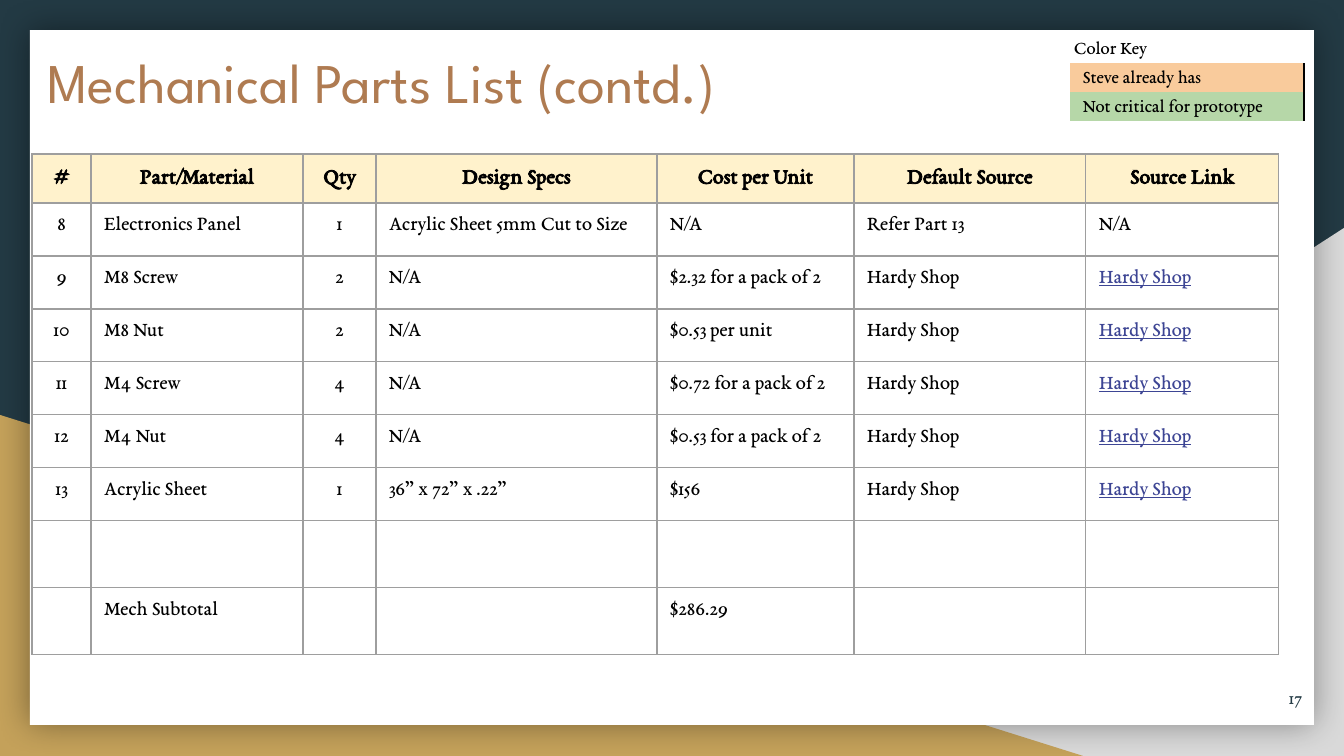
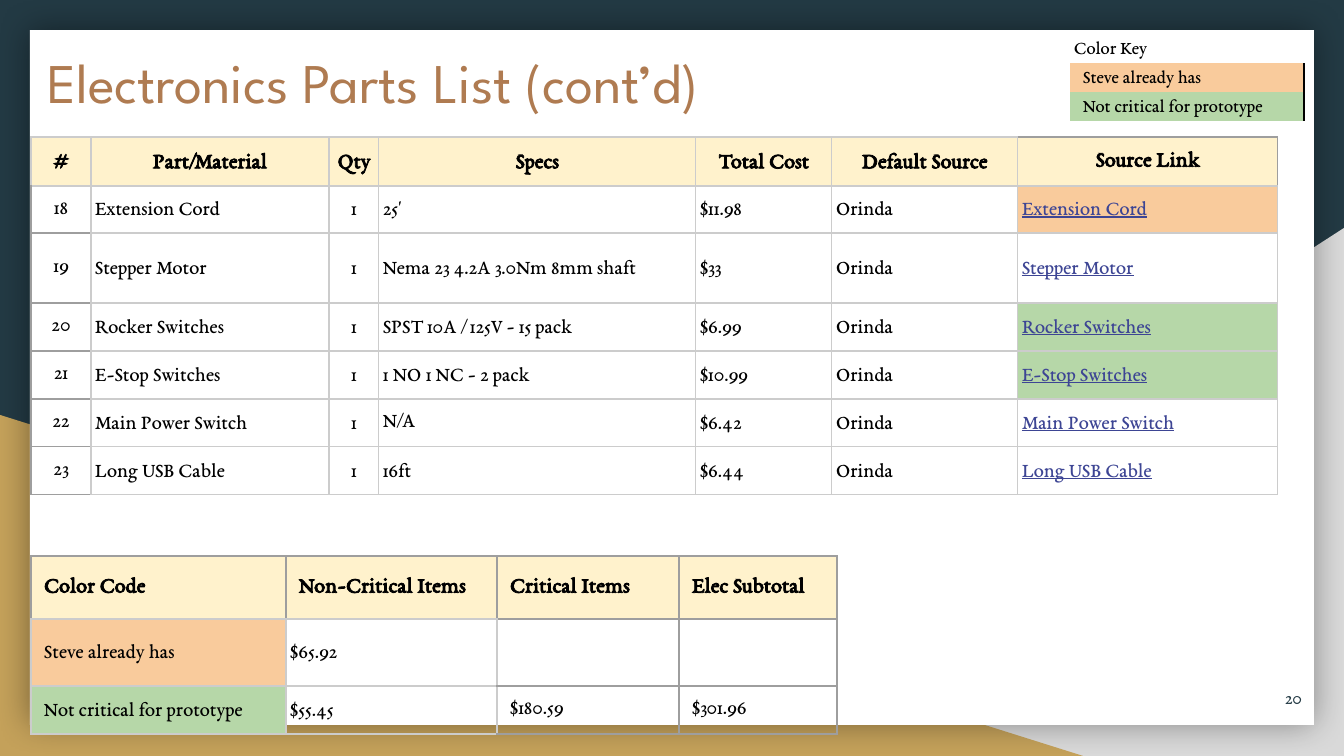
"""Build two parts-list slides with a shared backdrop, title style and color key."""
from typing import NamedTuple

from lxml.etree import SubElement
from pptx import Presentation
from pptx.dml.color import RGBColor
from pptx.enum.shapes import MSO_SHAPE
from pptx.enum.text import MSO_ANCHOR, MSO_AUTO_SIZE, PP_ALIGN
from pptx.oxml.ns import qn
from pptx.util import Pt

SCALE = 914400 / 134.4
SERIF, SANS = "EB Garamond", "League Spartan"
HUES = {
    "navy": "233A44", "silver": "D9D9D9", "gold": "C4A15A", "white": "FFFFFF",
    "copper": "AF7B51", "black": "000000", "cream": "FFF2CC", "peach": "F9CB9C",
    "green": "B6D7A8", "gray": "9E9E9E", "pale": "CCCCCC", "link": "3D4594",
}
GRAY, PALE, BARE = ("gray",) * 4, ("pale",) * 4, ("",) * 4


class Box(NamedTuple):
    left: int
    top: int
    width: int
    height: int


class Panel(NamedTuple):
    kind: MSO_SHAPE
    box: Box
    fill: str
    flip: bool = False
    shade: bool = False


class Look(NamedTuple):
    """Cell style; edges run left, right, top, bottom."""
    size: int = 11
    bold: bool = False
    pad: tuple[int, int] = (13, 13)
    anchor: MSO_ANCHOR = MSO_ANCHOR.MIDDLE
    align: PP_ALIGN = PP_ALIGN.LEFT
    gap: float = 1.0
    fill: str = ""
    edges: tuple[str, ...] = GRAY
    ink: str = "black"


class Grid(NamedTuple):
    left: int
    top: int
    cols: list[int]
    rows: list[int]
    cells: list[list[str]]
    head: Look
    body: Look
    tweaks: dict[tuple[int, int], dict] = {}


class Page(NamedTuple):
    title: str
    box: Box
    number: str
    grids: list[Grid]


PANELS = [
    Panel(MSO_SHAPE.RIGHT_TRIANGLE, Box(527, 228, 817, 528), "silver", flip=True),
    Panel(MSO_SHAPE.RIGHT_TRIANGLE, Box(0, 415, 1083, 341), "gold"),
    Panel(MSO_SHAPE.RECTANGLE, Box(30, 30, 1284, 695), "white", shade=True),
]

MID = {"align": PP_ALIGN.CENTER}
LINK = {"ink": "link"}
HEAD = Look(size=12, bold=True, fill="cream")
TIGHT = {"pad": (4, 3), "gap": 1.15}
CODE = {"pad": (13, 3), "gap": 1.15, "edges": PALE}
SUM = {**TIGHT, "edges": PALE}
SIDE = ("pale", "gray", "gray", "gray")
KEY = Look(size=10, pad=(13, 3), anchor=MSO_ANCHOR.BOTTOM, gap=1.15,
           edges=("", "black", "", ""))

key = Grid(
    1070, 34, [234], [29] * 3,
    [["Color Key"], ["Steve already has"], ["Not critical for prototype"]],
    KEY._replace(pad=(4, 3), edges=BARE), KEY,
    {(1, 0): {"fill": "peach"}, (2, 0): {"fill": "green"}},
)

mech = Grid(
    32, 154, [59, 212, 73, 281, 197, 232, 193], [49] + [53] * 6 + [64, 65],
    [
        ["#", "Part/Material", "Qty", "Design Specs", "Cost per Unit", "Default Source", "Source Link"],
        ["8", "Electronics Panel", "1", "Acrylic Sheet 5mm Cut to Size", "N/A", "Refer Part 13", "N/A"],
        ["9", "M8 Screw", "2", "N/A", "$2.32 for a pack of 2", "Hardy Shop", "Hardy Shop"],
        ["10", "M8 Nut", "2", "N/A", "$0.53 per unit", "Hardy Shop", "Hardy Shop"],
        ["11", "M4 Screw", "4", "N/A", "$0.72 for a pack of 2", "Hardy Shop", "Hardy Shop"],
        ["12", "M4 Nut", "4", "N/A", "$0.53 for a pack of 2", "Hardy Shop", "Hardy Shop"],
        ["13", "Acrylic Sheet", "1", "36” x 72” x .22”", "$156", "Hardy Shop", "Hardy Shop"],
        [""] * 7,
        ["", "Mech Subtotal", "", "", "$286.29", "", ""],
    ],
    HEAD._replace(**MID), Look(anchor=MSO_ANCHOR.TOP),
    {(r, c): MID for r in range(1, 7) for c in (0, 2)}
    | {(r, 6): LINK for r in range(2, 7)},
)

elec = Grid(
    31, 137, [60, 238, 50, 317, 136, 186, 260], [49, 47, 70] + [48] * 4,
    [
        ["#", "Part/Material", "Qty", "Specs", "Total Cost", "Default Source", "Source Link"],
        ["18", "Extension Cord", "1", "25'", "$11.98", "Orinda", "Extension Cord"],
        ["19", "Stepper Motor", "1", "Nema 23 4.2A 3.0Nm 8mm shaft", "$33", "Orinda", "Stepper Motor"],
        ["20", "Rocker Switches", "1", "SPST 10A / 125V - 15 pack", "$6.99", "Orinda", "Rocker Switches"],
        ["21", "E-Stop Switches", "1", "1 NO 1 NC - 2 pack", "$10.99", "Orinda", "E-Stop Switches"],
        ["22", "Main Power Switch", "1", "N/A", "$6.42", "Orinda", "Main Power Switch"],
        ["23", "Long USB Cable", "1", "16ft", "$6.44", "Orinda", "Long USB Cable"],
    ],
    HEAD._replace(edges=PALE, **MID, **TIGHT),
    Look(fill="white", edges=PALE, **TIGHT),
    {(r, 0): {**MID, "pad": (13, 13), "gap": 1.0, "fill": "",
              "edges": ("gray", "pale", "gray" if r > 1 else "pale", "gray")}
     for r in range(1, 7)}
    | {(r, 2): MID for r in range(1, 7)}
    | {(r, 6): {**LINK, "fill": fill}
       for r, fill in enumerate(["peach", "", "green", "green", "", ""], 1)}
    | {(0, 6): {"pad": (13, 13), "gap": 1.0, "edges": ("pale", "gray", "gray", "pale")},
       (5, 3): {"gap": 1.0}},
)

total = Grid(
    31, 556, [255, 211, 182, 158], [63, 64, 48],
    [
        ["Color Code", "Non-Critical Items", "Critical Items", "Elec Subtotal"],
        ["Steve already has", "$65.92", "", ""],
        ["Not critical for prototype", "$55.45", "$180.59", "$301.96"],
    ],
    HEAD, Look(),
    {(0, c): {"edges": ("gray", "gray", "gray", "pale")} for c in (0, 1)}
    | {(r, 1): SUM for r in (1, 2)}
    | {(r, 2): {"edges": SIDE} for r in (1, 2)}
    | {(1, 0): {**CODE, "fill": "peach"}, (2, 0): {**CODE, "fill": "green"}},
)

PAGES = [
    Page("Mechanical Parts List (contd.)", Box(34, 34, 1103, 82), "17", [mech, key]),
    Page("Electronics Parts List (cont’d)", Box(34, 34, 1118, 90), "20", [elec, total, key]),
]


def px(size: int) -> int:
    """Turn px into EMU."""
    return round(size * SCALE)


def hue(name: str) -> RGBColor:
    """Look up a color."""
    return RGBColor.from_string(HUES[name])


def spot(box: Box) -> tuple[int, ...]:
    """Turn a box into EMU."""
    return tuple(px(size) for size in box)


def ink(line, face: str, size: int, name: str) -> None:
    """Format the runs of a paragraph."""
    for run in line.runs:
        run.font.name, run.font.size = face, Pt(size)
        run.font.color.rgb = hue(name)


def pad(frame) -> None:
    """Set the usual insets of a text frame."""
    frame.margin_left = frame.margin_right = px(13)
    frame.margin_top = frame.margin_bottom = px(13)
    frame.word_wrap = True
    frame.auto_size = MSO_AUTO_SIZE.NONE


def shade(shape) -> None:
    """Add a soft shadow all around a shape."""
    glow = SubElement(shape.element.spPr.find(qn("a:effectLst")), qn("a:outerShdw"),
                      blurRad=str(Pt(18)), dist="0", dir="0", rotWithShape="0")
    tint = SubElement(glow, qn("a:srgbClr"), val=HUES["black"])
    SubElement(tint, qn("a:alpha"), val="40000")


def dress(layout, slide) -> None:
    """Draw the backdrop panels and move them to the layout."""
    for item in list(layout.placeholders):
        if item.placeholder_format.idx:
            layout.shapes.element.remove(item.element)
    for spot_no, panel in enumerate(PANELS, 2):
        shape = slide.shapes.add_shape(panel.kind, *spot(panel.box))
        shape.shadow.inherit = False
        shape.fill.solid()
        shape.fill.fore_color.rgb = hue(panel.fill)
        shape.line.fill.background()
        if panel.flip:
            shape.element.spPr.find(qn("a:xfrm")).set("flipH", "1")
        if panel.shade:
            shade(shape)
        layout.shapes.element.insert(spot_no, shape.element)


def edge(cell, names: tuple[str, ...]) -> None:
    """Set the four borders of a cell."""
    props = cell._tc.get_or_add_tcPr()
    for place, (side, name) in enumerate(zip("LRTB", names)):
        line = SubElement(props, qn(f"a:ln{side}"), w=str(Pt(0.75)))
        if name:
            SubElement(SubElement(line, qn("a:solidFill")), qn("a:srgbClr"), val=HUES[name])
        else:
            SubElement(line, qn("a:noFill"))
        props.insert(place, line)


def style(cell, text: str, look: Look) -> None:
    """Fill and format one cell."""
    cell.text_frame.text = text
    cell.margin_left = cell.margin_right = px(look.pad[0])
    cell.margin_top = cell.margin_bottom = px(look.pad[1])
    cell.vertical_anchor = look.anchor
    line = cell.text_frame.paragraphs[0]
    line.alignment, line.line_spacing = look.align, look.gap
    ink(line, SERIF, look.size, look.ink)
    for run in line.runs:
        run.font.bold = look.bold
        run.font.underline = look.ink == "link"
    if look.fill:
        cell.fill.solid()
        cell.fill.fore_color.rgb = hue(look.fill)
    else:
        cell.fill.background()
    edge(cell, look.edges)


def draw(slide, grid: Grid) -> None:
    """Draw one table."""
    box = Box(grid.left, grid.top, sum(grid.cols), sum(grid.rows))
    table = slide.shapes.add_table(len(grid.rows), len(grid.cols), *spot(box)).table
    table.first_row = table.horz_banding = False
    for col, width in zip(table.columns, grid.cols):
        col.width = px(width)
    for row, height in zip(table.rows, grid.rows):
        row.height = px(height)
    for r, texts in enumerate(grid.cells):
        for c, text in enumerate(texts):
            look = grid.body if r else grid.head
            style(table.cell(r, c), text, look._replace(**grid.tweaks.get((r, c), {})))


def build(slide, page: Page) -> None:
    """Fill one slide."""
    title = slide.shapes.title
    title.left, title.top, title.width, title.height = spot(page.box)
    note = slide.shapes.add_textbox(*spot(Box(1234, 668, 81, 58)))
    for shape, text, face, size, name, anchor, align in (
        (title, page.title, SANS, 30, "copper", MSO_ANCHOR.TOP, PP_ALIGN.LEFT),
        (note, page.number, SERIF, 10, "navy", MSO_ANCHOR.MIDDLE, PP_ALIGN.RIGHT),
    ):
        frame = shape.text_frame
        frame.text = text
        pad(frame)
        frame.vertical_anchor = anchor
        frame.paragraphs[0].alignment = align
        ink(frame.paragraphs[0], face, size, name)
    for grid in page.grids:
        draw(slide, grid)


def main() -> None:
    """Build and save the deck."""
    deck = Presentation()
    deck.slide_width, deck.slide_height = px(1344), px(756)
    back = deck.slide_master.background.fill
    back.solid()
    back.fore_color.rgb = hue("navy")
    layout = deck.slide_layouts[5]
    slides = [deck.slides.add_slide(layout) for _ in PAGES]
    dress(layout, slides[0])
    for slide, page in zip(slides, PAGES):
        build(slide, page)
    deck.save("out.pptx")


if __name__ == "__main__":
    main()
